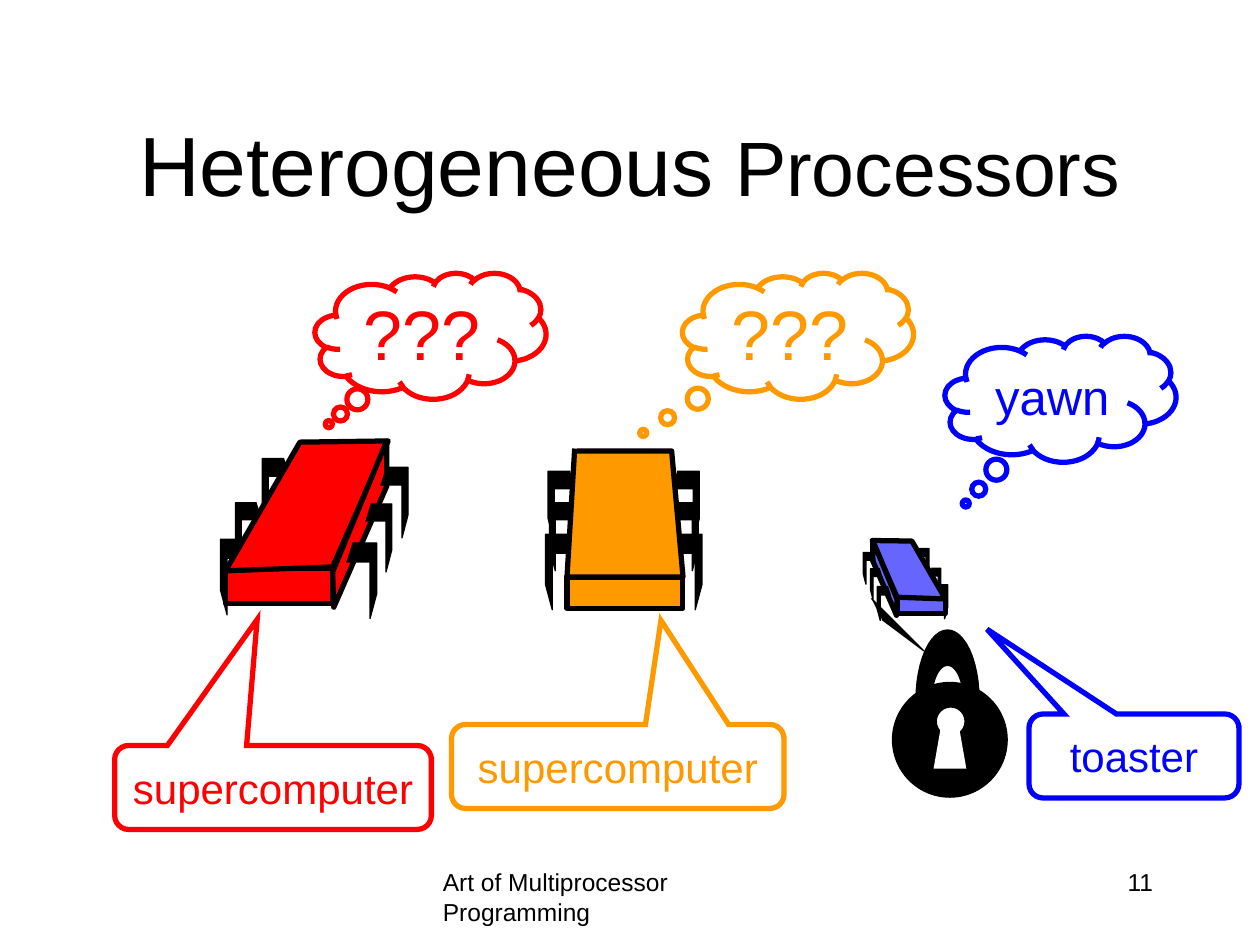
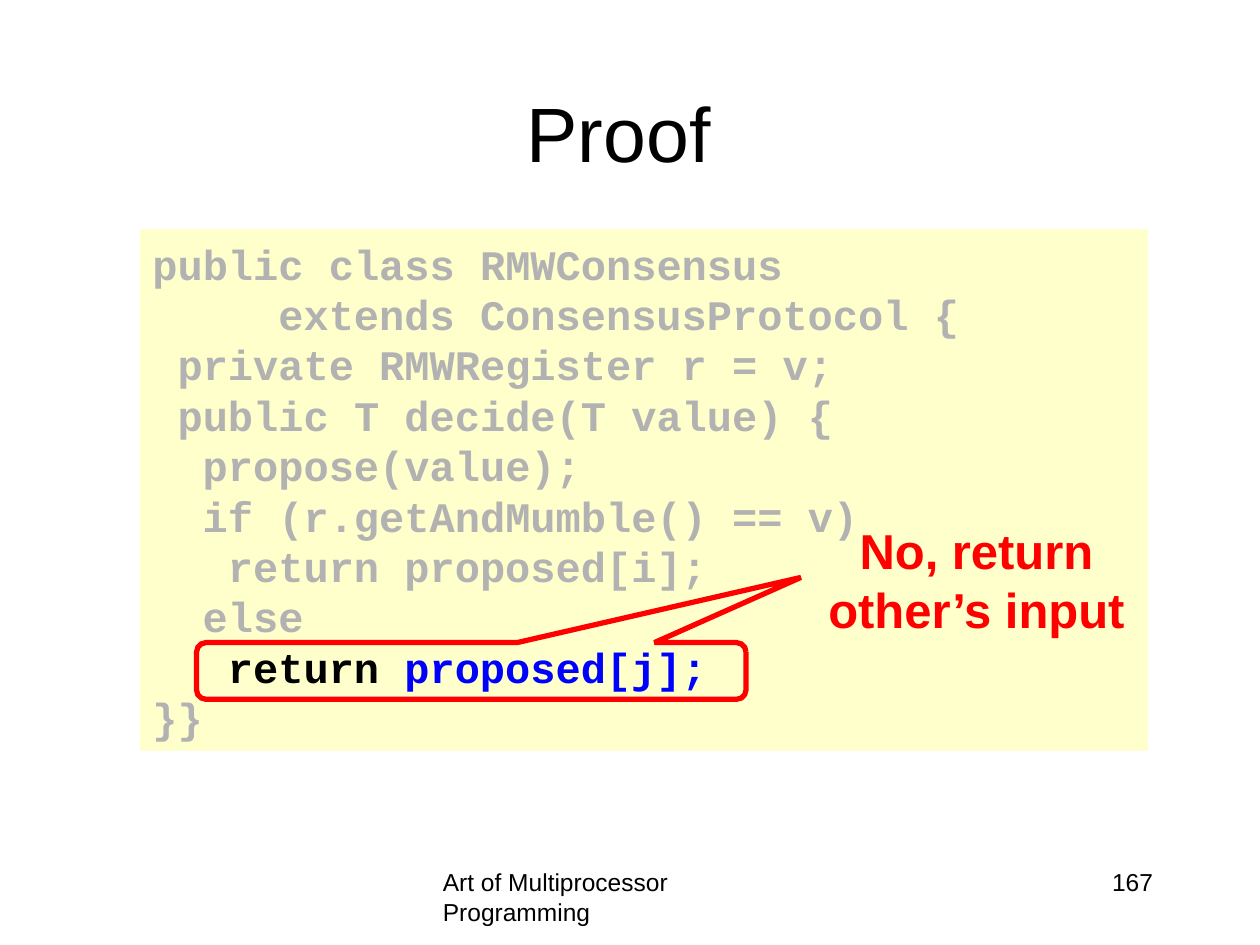
from dataclasses import dataclass
from math import cos, pi, sin
from typing import NamedTuple

from lxml import etree
from pptx import Presentation
from pptx.dml.color import RGBColor
from pptx.enum.shapes import MSO_SHAPE
from pptx.enum.text import MSO_ANCHOR, PP_ALIGN
from pptx.oxml.ns import qn
from pptx.util import Pt

RECT, ELLIPSE = MSO_SHAPE.RECTANGLE, MSO_SHAPE.OVAL
THOUGHT, SPEECH = MSO_SHAPE.CLOUD_CALLOUT, MSO_SHAPE.ROUNDED_RECTANGULAR_CALLOUT
LEFT, CENTER, RIGHT = PP_ALIGN.LEFT, PP_ALIGN.CENTER, PP_ALIGN.RIGHT
TOP, MIDDLE = MSO_ANCHOR.TOP, MSO_ANCHOR.MIDDLE


@dataclass(frozen=True)
class Theme:
    black: str = "000000"
    white: str = "FFFFFF"
    red: str = "FF0000"
    orange: str = "FF9900"
    blue: str = "0000FF"
    violet: str = "6666FF"
    dimmed: str = "B2B2B2"
    code_panel: str = "FFFFCC"
    font: str = "Arial"
    code_font: str = "Courier New"
    title: int = 44
    title_emphasis: int = 48
    puzzled: int = 40
    remark: int = 28
    body: int = 24
    footer: int = 14
    leading: float = 1.2
    thick: float = 3
    thin: float = 0.75


THEME = Theme()


class Box(NamedTuple):
    left: float
    top: float
    width: float
    height: float


class Span(NamedTuple):
    text: str
    size: int
    color: str = THEME.black
    bold: bool = False
    font: str = THEME.font


class CodeLine(NamedTuple):
    indent: int
    tokens: tuple[tuple[str, str], ...]


class Panel(NamedTuple):
    box: Box


class Face(NamedTuple):
    points: tuple[tuple[float, float], ...]
    closed: bool = True


class Leg(NamedTuple):
    """A bent pin of a chip; it points left unless on_right is set."""
    box: Box
    on_right: bool = False


@dataclass(frozen=True)
class Chip:
    width: float
    pieces: tuple[Panel | Face | Leg, ...]


@dataclass(frozen=True)
class Callout:
    kind: int
    box: Box
    tail: tuple[float, float]
    color: str
    text: str = ""
    size: int = THEME.body


FOOTER = "Art of Multiprocessor Programming"
FOOTER_BOX = Box(246, 492, 228, 36)
NUMBER_BOX = Box(516, 492, 150, 36)

LEG_SIZES = ((17.3, 43.2), (15.1, 38.9), (15.8, 40.3))
LEG_OUTLINE = ((0.8, 0), (0, 0), (0, 0.67), (0.22, 1), (0.22, 0.25), (1, 0.25))


def legs(*corners: tuple[float, float], on_right: bool = False) -> tuple[Leg, ...]:
    """Legs from the nearest to the farthest."""
    return tuple(Leg(Box(*corner, *size), on_right)
                 for corner, size in zip(corners, LEG_SIZES))


SLANTED_CHIP = Chip(107.3, (
    Panel(Box(2.9, 72.7, 61.2, 20.2)),
    *legs((0, 56.2), (8.6, 35.3), (23.8, 10.1)),
    Face(((2.9, 74.2), (64.1, 72), (95.8, 0), (45.4, 0.7))),
    Face(((95, 0), (95, 25.9), (64.8, 95), (64.1, 74.9))),
    *legs((72, 58.3), (82.8, 36), (91.4, 15.1), on_right=True),
))
FRONTAL_CHIP = Chip(89.3, (
    Panel(Box(12.2, 73.4, 66.2, 18)),
    *legs((72, 49), (72, 31), (72, 13), on_right=True),
    *legs((0, 49), (2.2, 31), (1.4, 13)),
    Face(((18, 1.4), (72, 1.4), (78.5, 73.4), (12.2, 73.4), (16.6, 0)), closed=False),
))

CALLOUTS = (
    Callout(THOUGHT, Box(180, 156, 132, 72), (-0.44, 0.7), THEME.red, "???", THEME.puzzled),
    Callout(THOUGHT, Box(390, 156, 132, 72), (-0.67, 0.77), THEME.orange, "???", THEME.puzzled),
    Callout(THOUGHT, Box(540, 192, 132, 72), (-0.41, 0.83), THEME.blue, "yawn", THEME.remark),
    Callout(SPEECH, Box(258, 414, 190, 48), (0.13, -1.74), THEME.orange, "supercomputer"),
    Callout(SPEECH, Box(65.5, 426, 181, 48), (-0.05, -2), THEME.red, "supercomputer"),
    Callout(SPEECH, Box(588, 408, 120, 48), (-0.7, -1.51), THEME.blue, "toaster"),
)


def dim(indent: int, text: str) -> CodeLine:
    return CodeLine(indent, ((text, THEME.dimmed),))


CODE = (
    dim(0, "public class RMWConsensus"),
    dim(5, "extends ConsensusProtocol {"),
    dim(1, "private RMWRegister r = v;"),
    dim(1, "public T decide(T value) {"),
    dim(2, "propose(value);"),
    dim(2, "if (r.getAndMumble() == v)"),
    dim(3, "return proposed[i];"),
    dim(2, "else"),
    CodeLine(3, (("return", THEME.black), (" proposed[j];", THEME.blue))),
    dim(0, "}}"),
)


def rgb(color: str) -> RGBColor:
    return RGBColor.from_string(color)


def emu(lengths) -> list[int]:
    return [Pt(length) for length in lengths]


def paint(shape, fill: str | None, line: str | None, weight: float = THEME.thick) -> None:
    shape.shadow.inherit = False
    if fill:
        shape.fill.solid()
        shape.fill.fore_color.rgb = rgb(fill)
    else:
        shape.fill.background()
    if line:
        shape.line.color.rgb = rgb(line)
        shape.line.width = Pt(weight)
    else:
        shape.line.fill.background()


def add_spans(paragraph, spans, align=LEFT) -> None:
    paragraph.alignment = align
    paragraph.line_spacing = Pt(THEME.leading * max(span.size for span in spans))
    for span in spans:
        run = paragraph.add_run()
        run.text = span.text
        run.font.name = span.font
        run.font.size = Pt(span.size)
        run.font.bold = span.bold
        run.font.color.rgb = rgb(span.color)


def add_label(slide, box: Box, *spans: Span, align=LEFT, anchor=TOP) -> None:
    frame = slide.shapes.add_textbox(*emu(box)).text_frame
    frame.word_wrap = True
    frame.vertical_anchor = anchor
    add_spans(frame.paragraphs[0], spans, align)


def add_preset(shapes, kind, box: Box, fill, line, weight: float = THEME.thick):
    shape = shapes.add_shape(kind, *emu(box))
    paint(shape, fill, line, weight)
    return shape


def add_outline(shapes, points, fill, line, weight: float, closed: bool = True) -> None:
    start, *rest = [emu(point) for point in points]
    builder = shapes.build_freeform(*start, scale=1.0)
    builder.add_line_segments(rest, close=closed)
    paint(builder.convert_to_shape(), fill, line, weight)


def add_callout(slide, callout: Callout) -> None:
    shape = add_preset(slide.shapes, callout.kind, callout.box, None, callout.color)
    for index, offset in enumerate(callout.tail):
        shape.adjustments[index] = offset
    outline = shape._element.spPr.find(qn("a:ln"))
    etree.SubElement(outline, qn("a:miter"), lim="800000")
    if callout.text:
        frame = shape.text_frame
        frame.word_wrap = False
        frame.vertical_anchor = MIDDLE
        add_spans(frame.paragraphs[0],
                  [Span(callout.text, callout.size, callout.color)], CENTER)


def add_chip(slide, chip: Chip, left: float, top: float, color: str,
             scale: float = 1, mirrored: bool = False) -> None:
    def place(x: float, y: float) -> tuple[float, float]:
        return left + scale * (chip.width - x if mirrored else x), top + scale * y

    shapes = slide.shapes.add_group_shape().shapes
    for piece in chip.pieces:
        if isinstance(piece, Face):
            corners = [place(*point) for point in piece.points]
            add_outline(shapes, corners, color, THEME.black, THEME.thick, piece.closed)
            continue
        x, y, width, height = piece.box
        if isinstance(piece, Panel):
            corner = place(x + width if mirrored else x, y)
            add_preset(shapes, RECT, Box(*corner, width * scale, height * scale),
                       color, THEME.black)
        else:
            bends = [place(x + width * (1 - u if piece.on_right else u), y + height * v)
                     for u, v in LEG_OUTLINE]
            add_outline(shapes, bends, THEME.black, THEME.black, THEME.thin, closed=False)


def upper_arc(x: float, y: float, rx: float, ry: float, steps: int = 24):
    """Points of a half ellipse, from its left end over the top to its right end."""
    return [(x - rx * cos(pi * i / steps), y - ry * sin(pi * i / steps))
            for i in range(steps + 1)]


def add_padlock(slide) -> None:
    shapes = slide.shapes.add_group_shape().shapes
    add_preset(shapes, ELLIPSE, Box(510, 390, 65.5, 65.5), THEME.black, THEME.black, THEME.thin)
    add_preset(shapes, ELLIPSE, Box(535, 404, 16.5, 16.5), THEME.white, THEME.black, THEME.thin)
    keyhole = ((533.5, 439.2), (537.8, 414.7), (547.9, 414.7), (552.2, 439.2))
    add_outline(shapes, keyhole, THEME.white, None, THEME.thin)
    shackle = upper_arc(541.5, 399.6, 9, 19.4) + upper_arc(541.5, 399.6, 18, 39.6)[::-1]
    add_outline(shapes, shackle, THEME.black, THEME.black, THEME.thin)


def add_slide(deck, number: int, title_box: Box, *title: Span):
    slide = deck.slides.add_slide(deck.slide_layouts[6])
    add_label(slide, FOOTER_BOX, Span(FOOTER, THEME.footer))
    add_label(slide, NUMBER_BOX, Span(str(number), THEME.footer), align=RIGHT)
    add_label(slide, title_box, *title, align=CENTER, anchor=MIDDLE)
    return slide


def build_processors(deck) -> None:
    slide = add_slide(deck, 11, Box(54, 48, 612, 90),
                      Span("Heterogeneous", THEME.title_emphasis),
                      Span(" Processors", THEME.title))
    add_chip(slide, SLANTED_CHIP, 126, 252, THEME.red)
    add_chip(slide, SLANTED_CHIP, 493.2, 308.9, THEME.violet, scale=0.45, mirrored=True)
    add_padlock(slide)
    chain = ((498, 342), (528, 372), (504, 354))
    add_outline(slide.shapes, chain, THEME.black, THEME.black, THEME.thin, closed=False)
    add_chip(slide, FRONTAL_CHIP, 311.8, 256.3, THEME.orange)
    for callout in CALLOUTS:
        add_callout(slide, callout)


def add_code(slide, box: Box) -> None:
    frame = add_preset(slide.shapes, RECT, box, THEME.code_panel, None).text_frame
    frame.word_wrap = True
    frame.vertical_anchor = MIDDLE
    character = 0.6 * THEME.body
    for index, line in enumerate(CODE):
        paragraph = frame.add_paragraph() if index else frame.paragraphs[0]
        add_spans(paragraph, [Span(text, THEME.body, color, True, THEME.code_font)
                              for text, color in line.tokens])
        paragraph._p.get_or_add_pPr().set("marL", str(Pt(line.indent * character)))


def build_proof(deck) -> None:
    slide = add_slide(deck, 167, Box(47.5, 30, 612, 90), Span("Proof", THEME.title))
    add_code(slide, Box(80, 131, 576, 298))
    add_callout(slide, Callout(SPEECH, Box(112.3, 367.2, 314, 32.4), (0.6, -1.65), THEME.red))
    add_label(slide, Box(435.6, 293.8, 244.8, 74.2),
              Span("No, return other’s input", THEME.remark, THEME.red, True), align=CENTER)


def main() -> None:
    deck = Presentation()
    deck.slide_width, deck.slide_height = Pt(720), Pt(540)
    build_processors(deck)
    build_proof(deck)
    deck.save("out.pptx")


if __name__ == "__main__":
    main()
